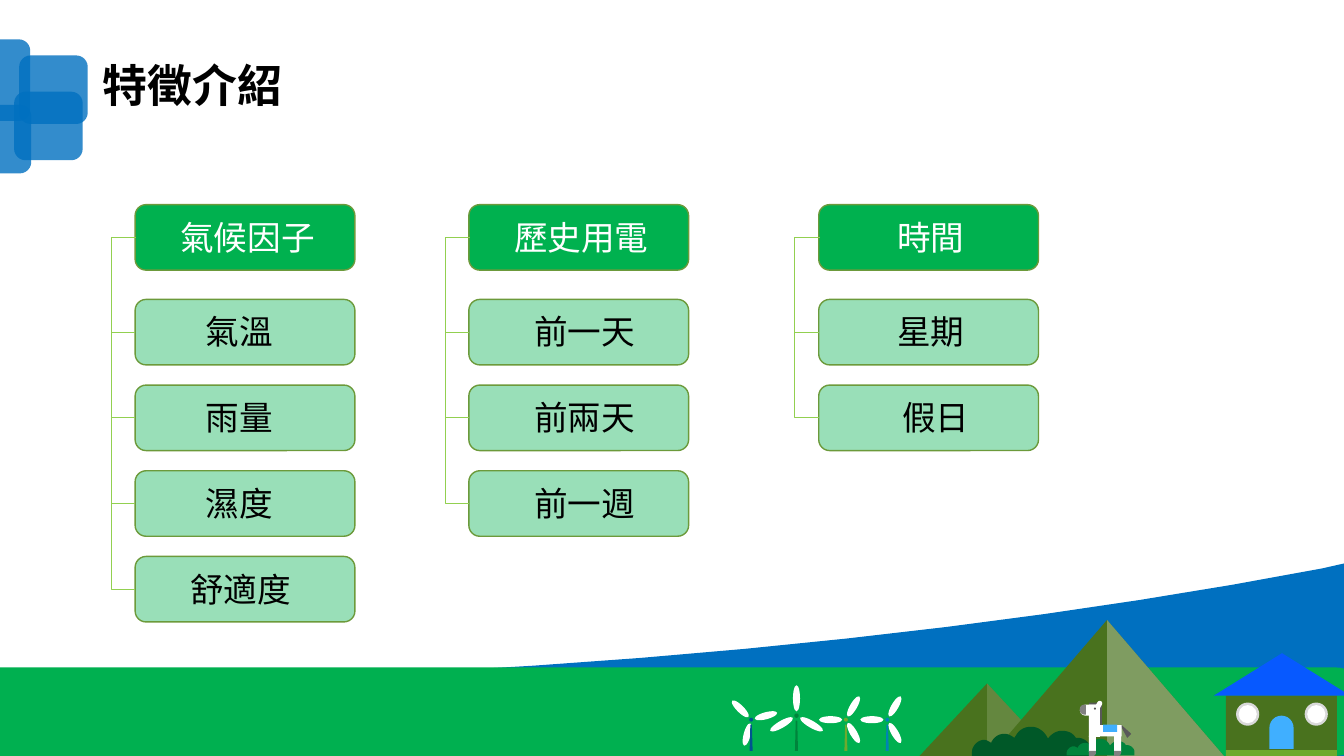
from math import cos, radians, sin

from lxml.etree import SubElement
from pptx import Presentation
from pptx.dml.color import RGBColor
from pptx.enum.shapes import MSO_CONNECTOR, MSO_SHAPE
from pptx.oxml.ns import qn
from pptx.util import Inches, Pt

FONT = "Lato"
BLUE, GREEN, LEAF, BRANCH = "0070C0", "00B050", "00B14F", "92D050"
WHITE, BLACK, GREY, DARK = "FFFFFF", "000000", "808080", "595959"
HILL, GRASS, SKY = "49721E", "6EAA2E", "40AFFF"
RECT, ROUND, OVAL = MSO_SHAPE.RECTANGLE, MSO_SHAPE.ROUNDED_RECTANGLE, MSO_SHAPE.OVAL
ARCH, PEAK = MSO_SHAPE.ROUND_2_SAME_RECTANGLE, MSO_SHAPE.ISOSCELES_TRIANGLE
SHADE, MAST = MSO_SHAPE.RIGHT_TRIANGLE, MSO_SHAPE.TRAPEZOID
COLUMNS = [
    (1.34, [("氣候因子", 0.35), ("氣溫", 0.6), ("雨量", 0.6), ("濕度", 0.6), ("舒適度", 0.45)]),
    (4.65, [("歷史用電", 0.35), ("前一天", 0.55), ("前兩天", 0.55), ("前一週", 0.55)]),
    (8.12, [("時間", 0.68), ("星期", 0.68), ("假日", 0.73)]),
]
BUSH = [(0.59, 0), (0.66, 0, 0.72, 0.05, 0.75, 0.11), (0.76, 0.11),
        (0.79, 0.07, 0.84, 0.04, 0.89, 0.04), (0.95, 0.04, 1, 0.06, 1.03, 0.11),
        (1.05, 0.11), (1.11, 0.11, 1.16, 0.15, 1.18, 0.21), (1.18, 0.29), (0, 0.29),
        (0, 0.25), (0, 0.19, 0.06, 0.13, 0.12, 0.13), (0.14, 0.13, 0.16, 0.14, 0.19, 0.16),
        (0.21, 0.11, 0.26, 0.07, 0.32, 0.07), (0.35, 0.07, 0.38, 0.08, 0.42, 0.11),
        (0.44, 0.08), (0.47, 0.03, 0.52, 0, 0.59, 0)]
HOOF = [(0, 0.05), (0, 0), (0.07, 0), (0.07, 0.01), (0.07, 0.03, 0.06, 0.05, 0.04, 0.05)]


def rgb(color):
    return RGBColor.from_string(color)


def paint(sp, color, alpha=100):
    sp.shadow.inherit = False
    sp.fill.solid()
    sp.fill.fore_color.rgb = rgb(color)
    sp.line.fill.background()
    if alpha < 100:
        clr = sp.fill._xPr.find(".//" + qn("a:srgbClr"))
        SubElement(clr, qn("a:alpha")).set("val", str(alpha * 1000))
    return sp


def shape(shapes, kind, x, y, w, h, color, alpha=100, rot=0, adj=()):
    sp = shapes.add_shape(kind, Inches(x), Inches(y), Inches(w), Inches(h))
    for i, value in enumerate(adj):
        sp.adjustments[i] = value
    sp.rotation = rot
    return paint(sp, color, alpha)


def outline(shapes, x, y, segments, color, scale=1):
    pts = [segments[0]]
    for seg in segments[1:]:
        if len(seg) == 2:
            pts.append(seg)
            continue
        x0, y0 = pts[-1]
        x1, y1, x2, y2, x3, y3 = seg
        for i in range(1, 13):
            t = i / 12
            a, b, c, d = (1 - t) ** 3, 3 * t * (1 - t) ** 2, 3 * t * t * (1 - t), t ** 3
            pts.append((a * x0 + b * x1 + c * x2 + d * x3, a * y0 + b * y1 + c * y2 + d * y3))
    pts = [(Inches(x + px * scale), Inches(y + py * scale)) for px, py in pts]
    fb = shapes.build_freeform(*pts[0])
    fb.add_line_segments(pts[1:], close=True)
    return paint(fb.convert_to_shape(), color)


def connector(shapes, kind, x1, y1, x2, y2):
    cn = shapes.add_connector(kind, Inches(x1), Inches(y1), Inches(x2), Inches(y2))
    cn.line.color.rgb = rgb(BRANCH)
    cn.line.width = Pt(0.5)
    SubElement(cn._element.spPr, qn("a:effectLst"))
    return cn


def text(shapes, x, y, w, h, words, size, color, bold=False):
    tf = shapes.add_textbox(Inches(x), Inches(y), Inches(w), Inches(h)).text_frame
    tf.word_wrap = True
    p = tf.paragraphs[0]
    r = p.add_run()
    r.text = words
    r.font.name, r.font.size, r.font.bold = FONT, Pt(size), bold
    r.font.color.rgb = rgb(color)
    return p


def header(shapes, x, y):
    g = shapes.add_group_shape().shapes
    for dx, dy, h in [(0, 0, 0.81), (0.57, 0.16, 0.68), (0.52, 0.52, 0.68), (0.01, 0.65, 0.68)]:
        shape(g, ROUND, x + dx, y + dy, 0.68, h, BLUE, 80)
    p = text(shapes, x + 1.3, y + 0.19, 3.25, 0.59, "特徵介紹", 32, BLACK, True)
    p.line_spacing = 0.9


def ground(shapes, y):
    outline(shapes, 0, y, [(13.33, 0), (13.33, 1.91), (0, 1.91), (0, 1.19), (0.91, 1.18),
                           (5.42, 1.13, 9.6, 0.72, 13.11, 0.05)], BLUE)
    shape(shapes, ROUND, -0.46, y + 1.03, 14.13, 0.88, GREEN, adj=[0.5])


def mountains(shapes, x, y):
    g = shapes.add_group_shape().shapes
    for dx, dy, w, h, light in [(0, 0.63, 1.34, 0.72, 15), (0.7, 0, 2.32, 1.35, 30)]:
        shape(g, PEAK, x + dx, y + dy, w, h, HILL)
        shape(g, SHADE, x + dx + w / 2, y + dy, w / 2, h, WHITE, light)
    outline(g, x + 0.52, y + 1.06, BUSH, "005828")
    outline(g, x + 1.46, y + 1.18, BUSH, "00843C", 0.57)


def house(shapes, x, y):
    g = shapes.add_group_shape().shapes
    shape(g, RECT, x + 0.12, y + 0.96, 1.1, 0.06, GRASS)
    shape(g, RECT, x + 0.12, y + 0.42, 1.1, 0.54, HILL)
    shape(g, ARCH, x + 0.55, y + 0.62, 0.24, 0.33, SKY, adj=[0.5, 0])
    shape(g, PEAK, x, y, 1.35, 0.42, "0759FF")
    for dx in (0.22, 0.9):
        shape(g, OVAL, x + dx, y + 0.49, 0.23, 0.23, "D9D9D9")
        shape(g, OVAL, x + dx + 0.025, y + 0.515, 0.18, 0.18, WHITE)


def donkey(shapes, x, y):
    g = shapes.add_group_shape().shapes
    outline(g, x + 0.42, y + 0.24, [(0, 0), (0.1, 0.09), (0.06, 0.13), (0, 0.02)], DARK)
    shape(g, ROUND, x + 0.1, y + 0.02, 0.13, 0.25, DARK, adj=[0.05])
    shape(g, ARCH, x + 0.05, y, 0.11, 0.19, WHITE, rot=270, adj=[0.5, 0])
    shape(g, RECT, x + 0.1, y + 0.04, 0.11, 0.32, WHITE)
    shape(g, RECT, x + 0.23, y + 0.16, 0.11, 0.28, WHITE, rot=90)
    shape(g, ARCH, x + 0.17, y, 0.05, 0.1, WHITE, rot=30, adj=[0.5, 0])
    outline(g, x + 0.01, y + 0.04, [(0.05, 0), (0.06, 0), (0.06, 0.1), (0.05, 0.1),
                                    (0.02, 0.1, 0, 0.08, 0, 0.05),
                                    (0, 0.02, 0.02, 0, 0.05, 0)], GREY)
    shape(g, OVAL, x + 0.15, y + 0.07, 0.02, 0.02, DARK)
    for dx in (0.1, 0.35):
        shape(g, ARCH, x + dx, y + 0.35, 0.07, 0.19, WHITE, rot=180, adj=[0.5, 0])
        outline(g, x + dx, y + 0.5, HOOF, GREY)
    shape(g, RECT, x + 0.24, y + 0.24, 0.14, 0.07, SKY)


def turbine(shapes, x, y, blade, turn, color):
    g = shapes.add_group_shape().shapes
    hub, reach = blade / 6, blade * 0.66
    shape(g, OVAL, x - hub / 2, y - hub / 2, hub, hub, color)
    for angle in (turn, turn + 120, turn + 240):
        cx, cy = x + reach * sin(radians(angle)), y - reach * cos(radians(angle))
        shape(g, OVAL, cx - 0.035, cy - blade / 2, 0.07, blade, WHITE, rot=angle % 360)
    shape(g, MAST, x - 0.015, y + 0.05, 0.03, 7.4 - y, color)


def feature_column(shapes, x, y, labels):
    w, h, pitch = 2.18, 0.65, 0.85
    tops = [y] + [y + 0.94 + pitch * i for i in range(len(labels) - 1)]
    for i, ((words, indent), top) in enumerate(zip(labels, tops)):
        sp = shape(shapes, ROUND, x, top, w, h, LEAF, 40 if i else 100)
        sp.line.color.rgb = rgb("6C9A3B")
        sp.line.width = Pt(1)
        text(shapes, x + indent, top + 0.07, 0.37 * len(words) + 0.22, 0.5,
             words, 24, BLACK if i else WHITE)
    mids = [top + h / 2 for top in tops]
    bracket = connector(shapes, MSO_CONNECTOR.ELBOW, x + 0.01, mids[0], x, mids[-1])
    guides = bracket._element.spPr.find(qn("a:prstGeom")).get_or_add_avLst()
    gd = SubElement(guides, qn("a:gd"))
    gd.set("name", "adj1")
    gd.set("fmla", "val 2500000")
    for mid in mids[1:-1]:
        connector(shapes, MSO_CONNECTOR.STRAIGHT, x, mid, x - 0.24, mid)


def main():
    prs = Presentation()
    prs.slide_width, prs.slide_height = Inches(13.33), Inches(7.5)
    s = prs.slides.add_slide(prs.slide_layouts[6])
    s.background.fill.solid()
    s.background.fill.fore_color.rgb = rgb(WHITE)
    shapes = s.shapes
    ground(shapes, 5.59)
    header(shapes, -0.38, 0.39)
    mountains(shapes, 9.12, 6.15)
    house(shapes, 12.04, 6.48)
    donkey(shapes, 10.7, 6.95)
    turbine(shapes, 7.9, 7.1, 0.26, 0, "00843C")
    turbine(shapes, 8.39, 7.14, 0.23, 30, GRASS)
    turbine(shapes, 8.8, 7.14, 0.23, 30, "0084B4")
    turbine(shapes, 7.45, 7.14, 0.23, 315, "005490")
    for x, labels in COLUMNS:
        feature_column(shapes, x, 2.03, labels)
    prs.save("out.pptx")


if __name__ == "__main__":
    main()
